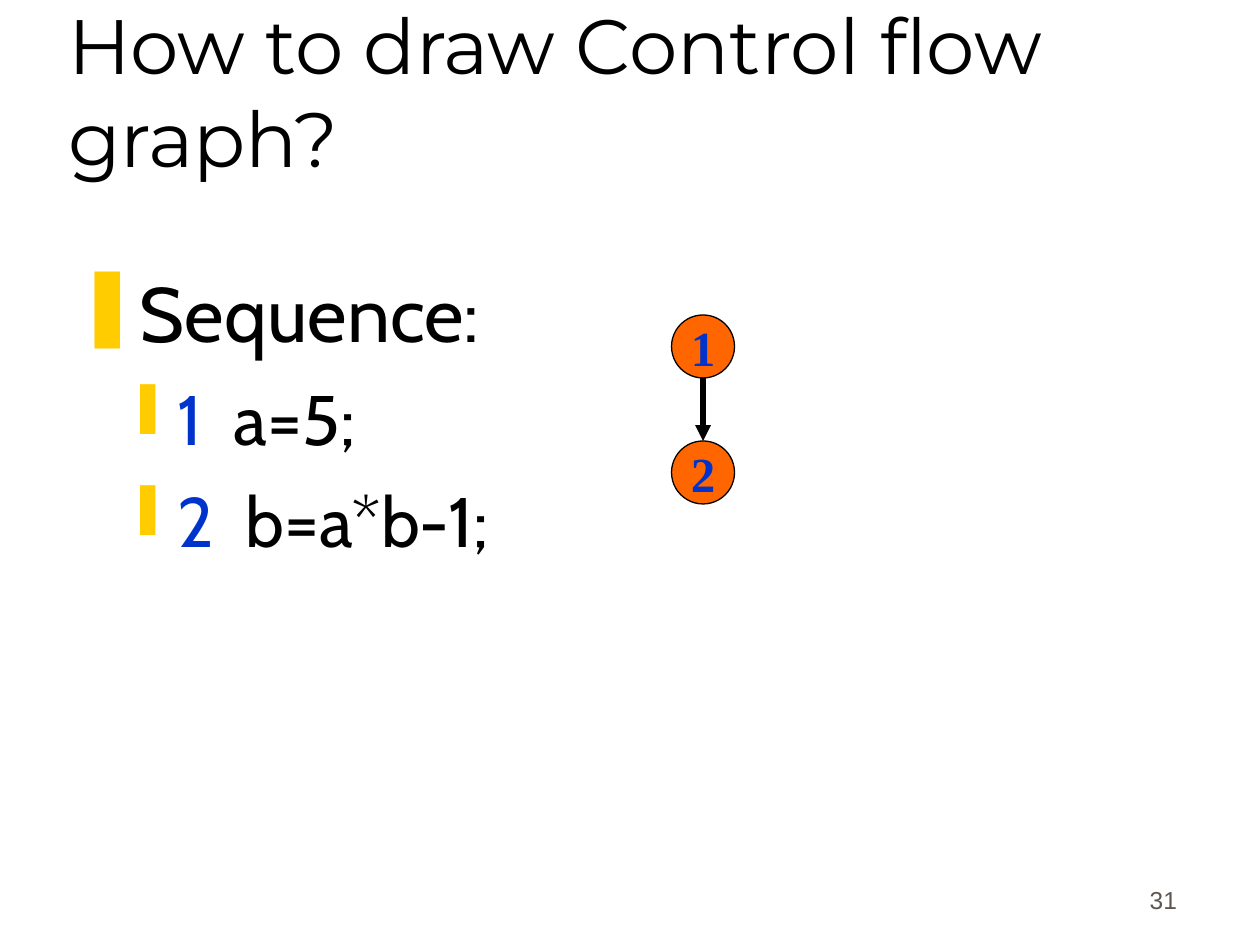
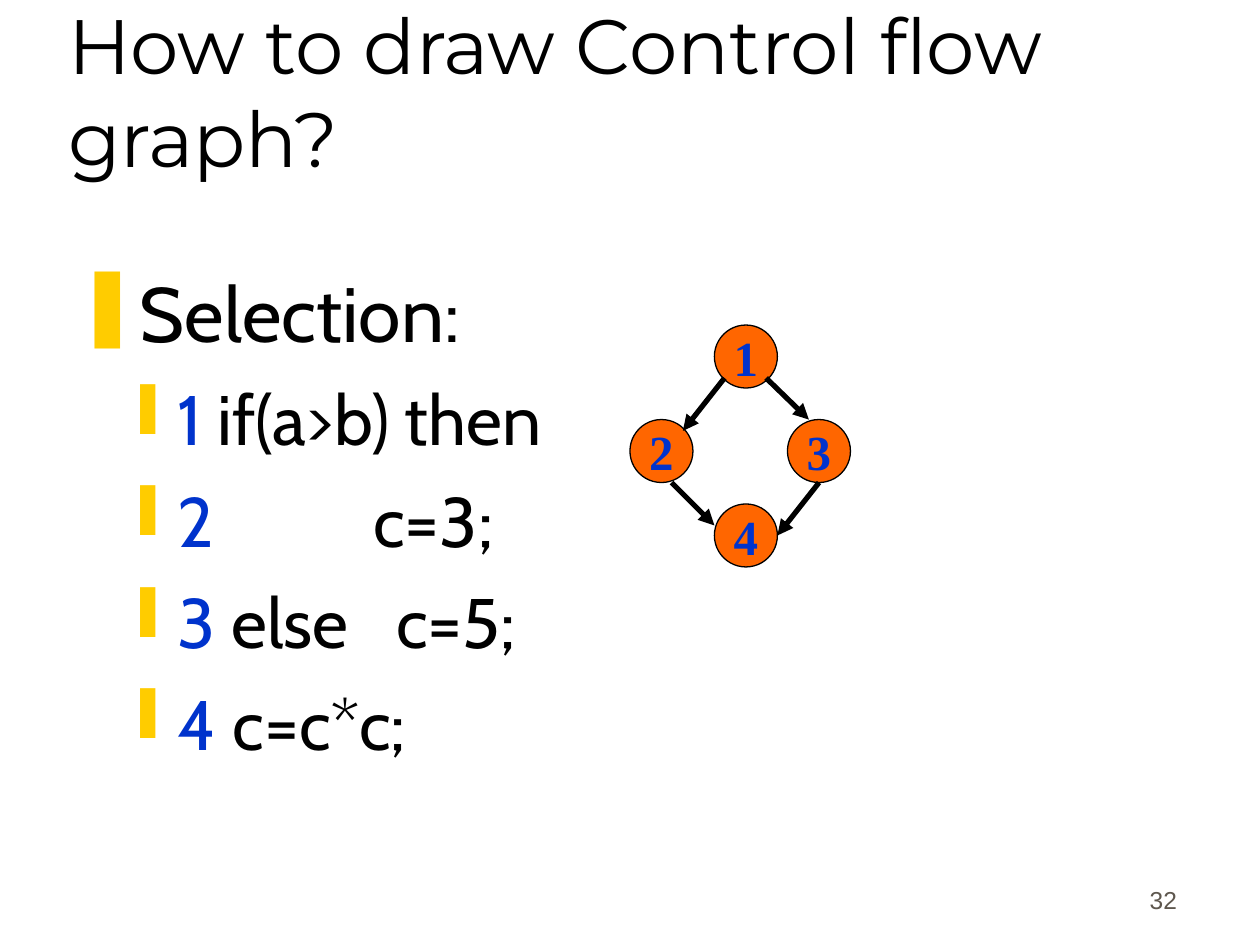
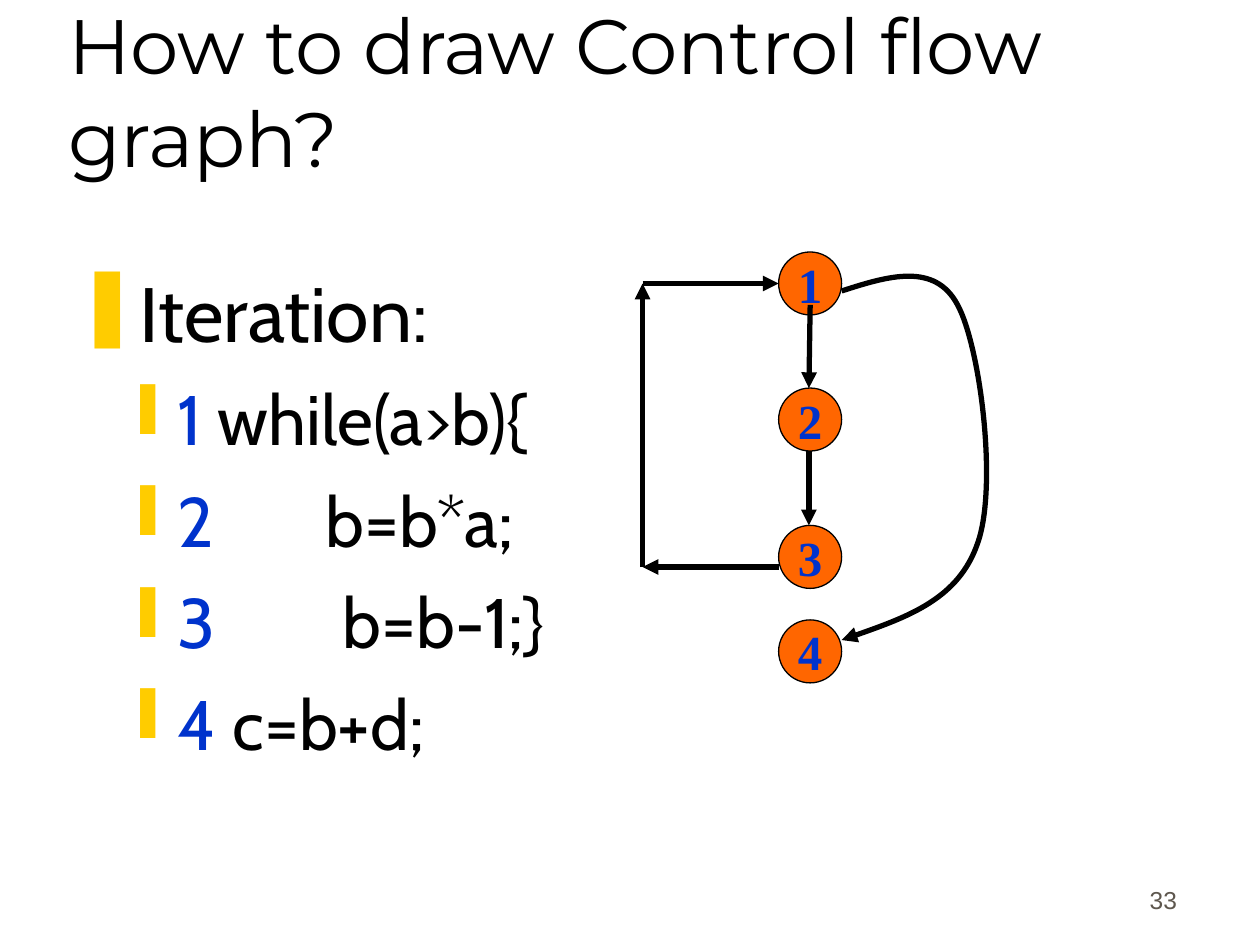
"""Build three slides on drawing control flow graphs."""
from pptx import Presentation
from pptx.dml.color import RGBColor
from pptx.enum.shapes import MSO_CONNECTOR, MSO_SHAPE
from pptx.enum.text import MSO_ANCHOR, MSO_AUTO_SIZE, PP_ALIGN
from pptx.oxml.ns import qn
from pptx.oxml.xmlchemy import OxmlElement
from pptx.util import Inches, Pt

LINE, OVAL = MSO_CONNECTOR.STRAIGHT, MSO_SHAPE.OVAL
LOW, MID = MSO_ANCHOR.BOTTOM, MSO_ANCHOR.MIDDLE
LEFT, CENTER, RIGHT = PP_ALIGN.LEFT, PP_ALIGN.CENTER, PP_ALIGN.RIGHT
FIXED = MSO_AUTO_SIZE.NONE

BLACK, BLUE, ORANGE, GOLD, GRAY = "000000", "0033CC", "FF6600", "FFCC00", "5E574E"
TITLE = "How to draw Control flow graph?"
FIRST = 31
NODE = 0.5
SPACE = 9.1  # width in points of one space in the code font

# Code rows give the gap before the code, counted in spaces.
SLIDES = [
    {
        "head": "Sequence:",
        "code": [(2, "a=5;"), (2, "b=a*b-1;")],
        "nodes": [(5.33, 2.5), (5.33, 3.5)],
        "edges": [(5.58, 3, 5.58, 3.5)],
        "curves": [],
    },
    {
        "head": "Selection:",
        "code": [(1, "if(a>b) then"), (10, "c=3;"), (1, "else", 3, "c=5;"), (1, "c=c*c;")],
        "nodes": [(5.67, 2.58), (5, 3.33), (6.25, 3.33), (5.67, 4)],
        "edges": [
            (5.75, 3, 5.42, 3.42),
            (6.08, 3, 6.42, 3.33),
            (5.33, 3.83, 5.67, 4.17),
            (6.5, 3.83, 6.17, 4.25),
        ],
        "curves": [],
    },
    {
        "head": "Iteration:",
        "code": [(1, "while(a>b){"), (7, "b=b*a;"), (8, "b=b-1;}"), (1, "c=b+d;")],
        "nodes": [(6.18, 2), (6.18, 3.08), (6.18, 4.17), (6.18, 4.92)],
        "edges": [
            (6.43, 2.42, 6.42, 3.08),
            (6.42, 3.58, 6.42, 4.17),
            (6.18, 4.5, 5.1, 4.5),
            (5.1, 4.5, 5.1, 2.25),
            (5.1, 2.25, 6.18, 2.25),
        ],
        "curves": [[
            (6.68, 2.31), (7.05, 2.19), (7.42, 2.08), (7.6, 2.42), (7.78, 2.75),
            (7.92, 3.86), (7.76, 4.31), (7.61, 4.75), (7.15, 4.92), (6.68, 5.08),
        ]],
    },
]


def color(code):
    return RGBColor.from_string(code)


def style(run, size, face, ink, bold=False):
    font = run.font
    font.size, font.name, font.bold = Pt(size), face, bold
    font.color.rgb = color(ink)


def place(shape, *box):
    shape.left, shape.top, shape.width, shape.height = map(Inches, box)


def add_node(parent, tag, **attrs):
    node = OxmlElement(tag)
    for key, value in attrs.items():
        node.set(key, value)
    parent.append(node)
    return node


def bullet(para, mark, left, hang, before):
    para.space_before = Pt(before)
    props = para._p.get_or_add_pPr()
    props.set("marL", str(Inches(left)))
    props.set("indent", str(-Inches(hang)))
    add_node(add_node(props, "a:buClr"), "a:srgbClr", val=GOLD)
    add_node(props, "a:buChar", char=mark)


def add_text(slide, *box):
    frame = slide.shapes.add_textbox(*map(Inches, box)).text_frame
    frame.word_wrap = True
    return frame


def add_title(slide):
    title = slide.shapes.title
    place(title, 0.44, 0.25, 8.5, 1.25)
    frame = title.text_frame
    frame.text = TITLE
    frame.auto_size, frame.word_wrap = FIXED, True
    frame.vertical_anchor = LOW
    frame.paragraphs[0].alignment = LEFT
    style(frame.paragraphs[0].runs[0], 44, "Montserrat", BLACK)


def add_run(para, text, ink):
    run = para.add_run()
    run.text = text
    style(run, 40, "Cabin", ink)
    return run


def add_code(slide, head, code):
    frame = add_text(slide, 0.5, 2.06, 8.94, 4.56)
    frame.text = head
    first = frame.paragraphs[0]
    bullet(first, "❚", 0.38, 0.38, 11)
    style(first.runs[0], 44, "Cabin", BLACK)
    for num, row in enumerate(code, 1):
        para = frame.add_paragraph()
        para.level = 1
        bullet(para, "❙", 0.81, 0.31, 10)
        add_run(para, str(num), BLUE)
        for gap, text in zip(row[::2], row[1::2]):
            space = add_run(para, " ", BLACK)
            space._r.get_or_add_rPr().set("spc", str(round((gap - 1) * SPACE * 100)))
            add_run(para, text, BLACK)


def add_circle(slide, num, left, top):
    oval = slide.shapes.add_shape(OVAL, *map(Inches, (left, top, NODE, NODE)))
    oval.shadow.inherit = False
    oval.fill.solid()
    oval.fill.fore_color.rgb = color(ORANGE)
    oval.line.color.rgb = color(BLACK)
    oval.line.width = Pt(0.75)
    frame = oval.text_frame
    frame.text = str(num)
    frame.word_wrap, frame.vertical_anchor = False, MID
    frame.paragraphs[0].alignment = CENTER
    style(frame.paragraphs[0].runs[0], 28, "Times New Roman", BLUE, True)


def arrow(shape):
    shape.line.color.rgb = color(BLACK)
    shape.line.width = Pt(3)
    add_node(shape.line._get_or_add_ln(), "a:tailEnd", type="triangle")


def add_edge(slide, *ends):
    edge = slide.shapes.add_connector(LINE, *map(Inches, ends))
    arrow(edge)
    add_node(edge._element.spPr, "a:effectLst")


def add_curve(slide, points):
    start, *rest = [(Inches(x), Inches(y)) for x, y in points]
    form = slide.shapes.build_freeform(*start)
    form.add_line_segments(rest, close=False)
    curve = form.convert_to_shape()
    curve.shadow.inherit = False
    curve.fill.background()
    arrow(curve)
    steps = list(curve._element.iter(qn("a:lnTo")))
    for i in range(0, len(steps), 3):
        bend = OxmlElement("a:cubicBezTo")
        steps[i].addprevious(bend)
        for step in steps[i:i + 3]:
            bend.append(step[0])
            step.getparent().remove(step)


def add_number(slide, num):
    frame = add_text(slide, 7.36, 6.81, 2.08, 0.5)
    frame.text = str(num)
    frame.vertical_anchor = LOW
    para = frame.paragraphs[0]
    para.alignment, para.space_before = RIGHT, Pt(8.8)
    style(para.runs[0], 14, "Arial", GRAY)


def main():
    deck = Presentation()
    deck.slide_width, deck.slide_height = Inches(10), Inches(7.5)
    for page, data in enumerate(SLIDES, FIRST):
        slide = deck.slides.add_slide(deck.slide_layouts[5])
        add_title(slide)
        add_code(slide, data["head"], data["code"])
        for num, spot in enumerate(data["nodes"], 1):
            add_circle(slide, num, *spot)
        for ends in data["edges"]:
            add_edge(slide, *ends)
        for points in data["curves"]:
            add_curve(slide, points)
        add_number(slide, page)
    deck.save("out.pptx")


if __name__ == "__main__":
    main()
